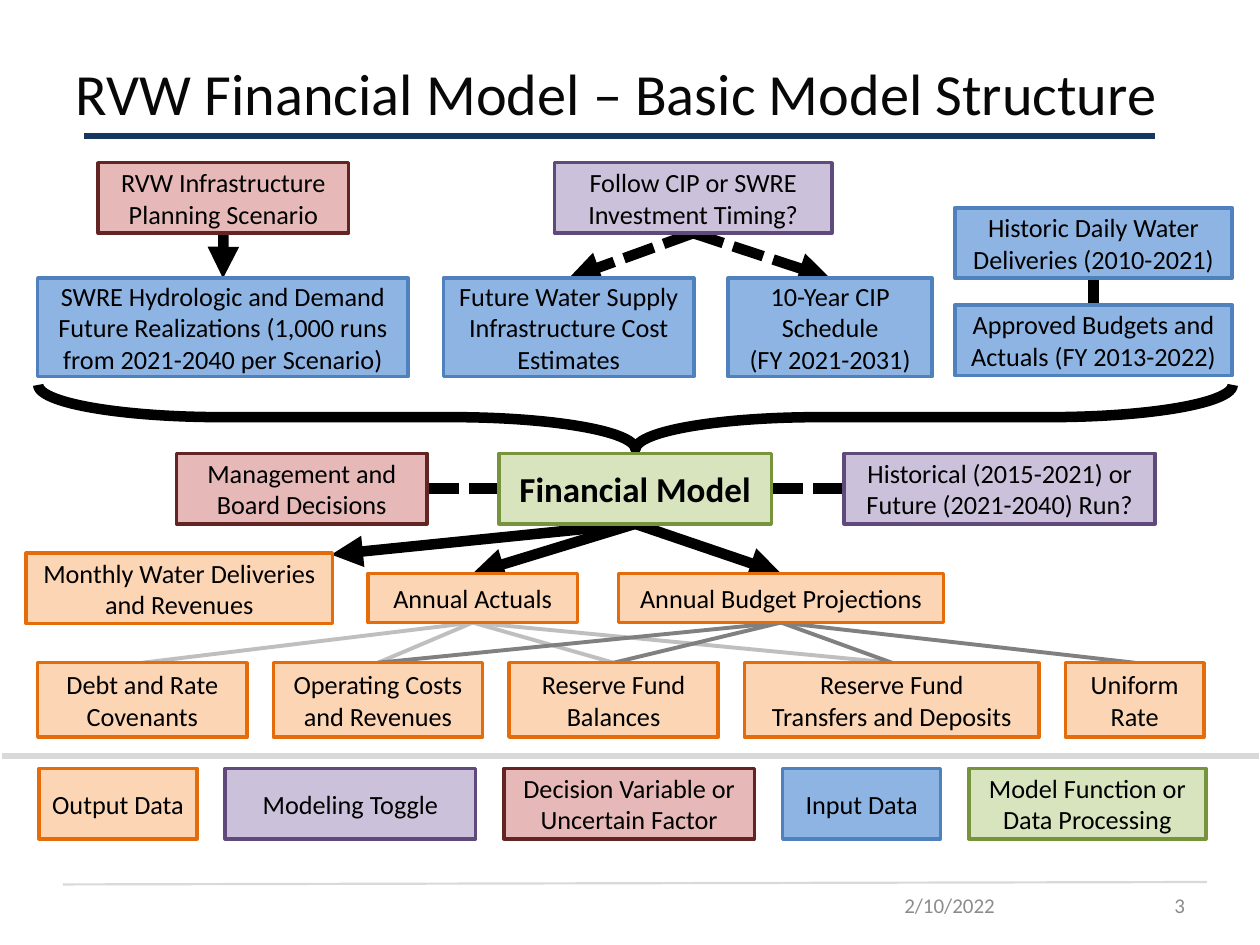
from lxml import etree
from pptx import Presentation
from pptx.dml.color import RGBColor
from pptx.enum.dml import MSO_LINE
from pptx.enum.shapes import MSO_CONNECTOR, MSO_SHAPE
from pptx.enum.text import MSO_ANCHOR, MSO_AUTO_SIZE, PP_ALIGN
from pptx.oxml.ns import qn
from pptx.util import Cm, Pt

FONT = "Calibri"
TITLE = "RVW Financial Model – Basic Model Structure"

# Role: fill, outline
ROLES = {
    "output": ("FCD5B5", "E46C0A"),
    "toggle": ("CCC1DA", "604A7B"),
    "decision": ("E6B9B8", "632523"),
    "input": ("8EB4E3", "4F81BD"),
    "model": ("D7E4BD", "77933C"),
}

# Diagram boxes: key, role, text, left, top, width, height (cm)
BOXES = [
    ("scenario", "decision", "RVW Infrastructure Planning Scenario", 1.98, 3.28, 5.05, 1.42),
    ("timing", "toggle", "Follow CIP or SWRE Investment Timing?", 11.18, 3.28, 5.59, 1.42),
    ("deliveries", "input", "Historic Daily Water Deliveries (2010-2021)", 19.25, 4.19, 5.59, 1.42),
    ("realizations", "input",
     "SWRE Hydrologic and Demand Future Realizations (1,000 runs from 2021-2040 per Scenario)",
     0.76, 5.61, 7.47, 1.98),
    ("costs", "input", "Future Water Supply Infrastructure Cost Estimates", 8.94, 5.61, 5.05, 1.98),
    ("schedule", "input", "10-Year CIP Schedule\n(FY 2021-2031)", 14.68, 5.61, 4.11, 1.98),
    ("budgets", "input", "Approved Budgets and Actuals (FY 2013-2022)", 19.25, 6.15, 5.59, 1.42),
    ("decisions", "decision", "Management and Board Decisions", 3.56, 9.14, 5.05, 1.42),
    ("model", "model", "Financial Model", 10.06, 9.14, 5.49, 1.42),
    ("run", "toggle", "Historical (2015-2021) or Future (2021-2040) Run?", 17.02, 9.14, 6.27, 1.42),
    ("monthly", "output", "Monthly Water Deliveries and Revenues", 0.53, 11.15, 6.17, 1.42),
    ("actuals", "output", "Annual Actuals", 7.42, 11.56, 4.22, 0.99),
    ("projections", "output", "Annual Budget Projections", 12.47, 11.56, 6.55, 0.99),
]

# Evenly spaced rows: left, top, height, gap, then key, role, text, width
OUTPUT_ROW = (0.76, 13.36, 1.5, 0.53, [
    ("covenants", "output", "Debt and Rate Covenants", 4.22),
    ("operating", "output", "Operating Costs and Revenues", 4.22),
    ("balances", "output", "Reserve Fund Balances", 4.22),
    ("transfers", "output", "Reserve Fund\nTransfers and Deposits", 5.94),
    ("rate", "output", "Uniform Rate", 2.79),
])
LEGEND_ROW = (0.79, 15.49, 1.42, 0.57, [
    ("legend output", "output", "Output Data", 3.18),
    ("legend toggle", "toggle", "Modeling Toggle", 5.05),
    ("legend decision", "decision", "Decision Variable or Uncertain Factor", 5.05),
    ("legend input", "input", "Input Data", 3.18),
    ("legend model", "model", "Model Function or Data Processing", 4.78),
])

# Links: from box, side, to box, side, dashed, arrow
TOP, LEFT, BOTTOM, RIGHT = range(4)
FLOWS = [
    ("scenario", BOTTOM, "realizations", TOP, False, True),
    ("timing", BOTTOM, "costs", TOP, True, True),
    ("timing", BOTTOM, "schedule", TOP, True, True),
    ("deliveries", BOTTOM, "budgets", TOP, False, False),
    ("model", RIGHT, "run", LEFT, True, False),
    ("decisions", RIGHT, "model", LEFT, True, False),
    ("model", BOTTOM, "actuals", TOP, False, True),
    ("model", BOTTOM, "projections", TOP, False, True),
]
BREAKDOWNS = [
    ("actuals", "BFBFBF", ["covenants", "operating", "balances", "transfers"]),
    ("projections", "808080", ["operating", "balances", "rate", "transfers"]),
]
MONTHLY_TIP = (6.68, 11.18)

# Rules: x1, y1, x2, y2 (cm), colour, weight
RULES = [
    (1.27, 17.83, 24.33, 17.78, "D9D9D9", 1.25),
    (1.7, 2.74, 23.29, 2.74, "17375E", 3),
    (0.05, 15.24, 25.37, 15.24, "D9D9D9", 3),
]

# Footer: text, left, width, alignment
FOOTER = [("2/10/2022", 17.98, 2.74, PP_ALIGN.LEFT), ("3", 20.96, 3.18, PP_ALIGN.RIGHT)]


def rgb(value):
    return RGBColor.from_string(value)


def write(frame, text, size, color, align, bold=False):
    frame.word_wrap = True
    frame.auto_size = MSO_AUTO_SIZE.NONE
    frame.vertical_anchor = MSO_ANCHOR.MIDDLE
    frame.text = text
    for paragraph in frame.paragraphs:
        paragraph.alignment = align
        font = paragraph.font
        font.name, font.size, font.bold = FONT, Pt(size), bold
        font.color.rgb = rgb(color)


def add_box(shapes, role, text, left, top, width, height):
    box = shapes.add_shape(MSO_SHAPE.RECTANGLE, Cm(left), Cm(top), Cm(width), Cm(height))
    fill, outline = ROLES[role]
    box.shadow.inherit = False
    box.fill.solid()
    box.fill.fore_color.rgb = rgb(fill)
    box.line.color.rgb = rgb(outline)
    box.line.width = Pt(2)
    is_center = text == "Financial Model"
    write(box.text_frame, text, 20 if is_center else 15, "000000", PP_ALIGN.CENTER, is_center)
    return box


def add_line(shapes, color, weight, points=(0, 0, 0, 0), dashed=False, arrow=False):
    line = shapes.add_connector(MSO_CONNECTOR.STRAIGHT, *(Cm(value) for value in points))
    line.line.color.rgb = rgb(color)
    line.line.width = Pt(weight)
    if dashed:
        line.line.dash_style = MSO_LINE.SQUARE_DOT
    properties = line._element.spPr
    if arrow:
        etree.SubElement(properties.find(qn("a:ln")), qn("a:tailEnd"), type="triangle")
    etree.SubElement(properties, qn("a:effectLst"))
    return line


def spread(left, top, height, gap, items):
    for key, role, text, width in items:
        yield key, role, text, left, top, width, height
        left += width + gap


def main():
    deck = Presentation()
    deck.slide_width, deck.slide_height = Cm(25.4), Cm(19.05)
    slide = deck.slides.add_slide(deck.slide_layouts[5])
    shapes = slide.shapes

    # Title, rules and footer
    title = shapes.title
    title.left, title.top, title.width, title.height = Cm(1.27), Cm(0.76), Cm(22.86), Cm(2.21)
    write(title.text_frame, TITLE, 33.3, "080808", PP_ALIGN.LEFT)
    for *points, color, weight in RULES:
        add_line(shapes, color, weight, points)
    for text, left, width, align in FOOTER:
        footer = shapes.add_textbox(Cm(left), Cm(17.88), Cm(width), Cm(0.74))
        write(footer.text_frame, text, 12, "8C8C8C", align)

    # Brace gathering the inputs, turned to point down at the model
    depth, span, center_x, center_y = 1.3, 24.08, 12.81, 8.41
    brace = shapes.add_shape(MSO_SHAPE.RIGHT_BRACE, Cm(center_x - depth / 2),
                             Cm(center_y - span / 2), Cm(depth), Cm(span))
    brace.rotation = 90
    brace.adjustments[0], brace.adjustments[1] = 2.85, 0.5
    brace.shadow.inherit = False
    brace.fill.background()
    brace.line.color.rgb = rgb("000000")
    brace.line.width = Pt(6)

    # Boxes
    boxes = {key: add_box(shapes, *details)
             for key, *details in [*BOXES, *spread(*OUTPUT_ROW), *spread(*LEGEND_ROW)]}

    # Links
    for start, start_side, end, end_side, dashed, arrow in FLOWS:
        flow = add_line(shapes, "000000", 6, dashed=dashed, arrow=arrow)
        flow.begin_connect(boxes[start], start_side)
        flow.end_connect(boxes[end], end_side)
    monthly = add_line(shapes, "000000", 6, (0, 0, *MONTHLY_TIP), arrow=True)
    monthly.begin_connect(boxes["model"], BOTTOM)
    for start, color, ends in BREAKDOWNS:
        for end in ends:
            detail = add_line(shapes, color, 2.25)
            detail.begin_connect(boxes[start], BOTTOM)
            detail.end_connect(boxes[end], TOP)

    # Bring the boxes in front of the links
    for box in boxes.values():
        shapes._spTree.append(box._element)

    deck.save("out.pptx")


if __name__ == "__main__":
    main()
